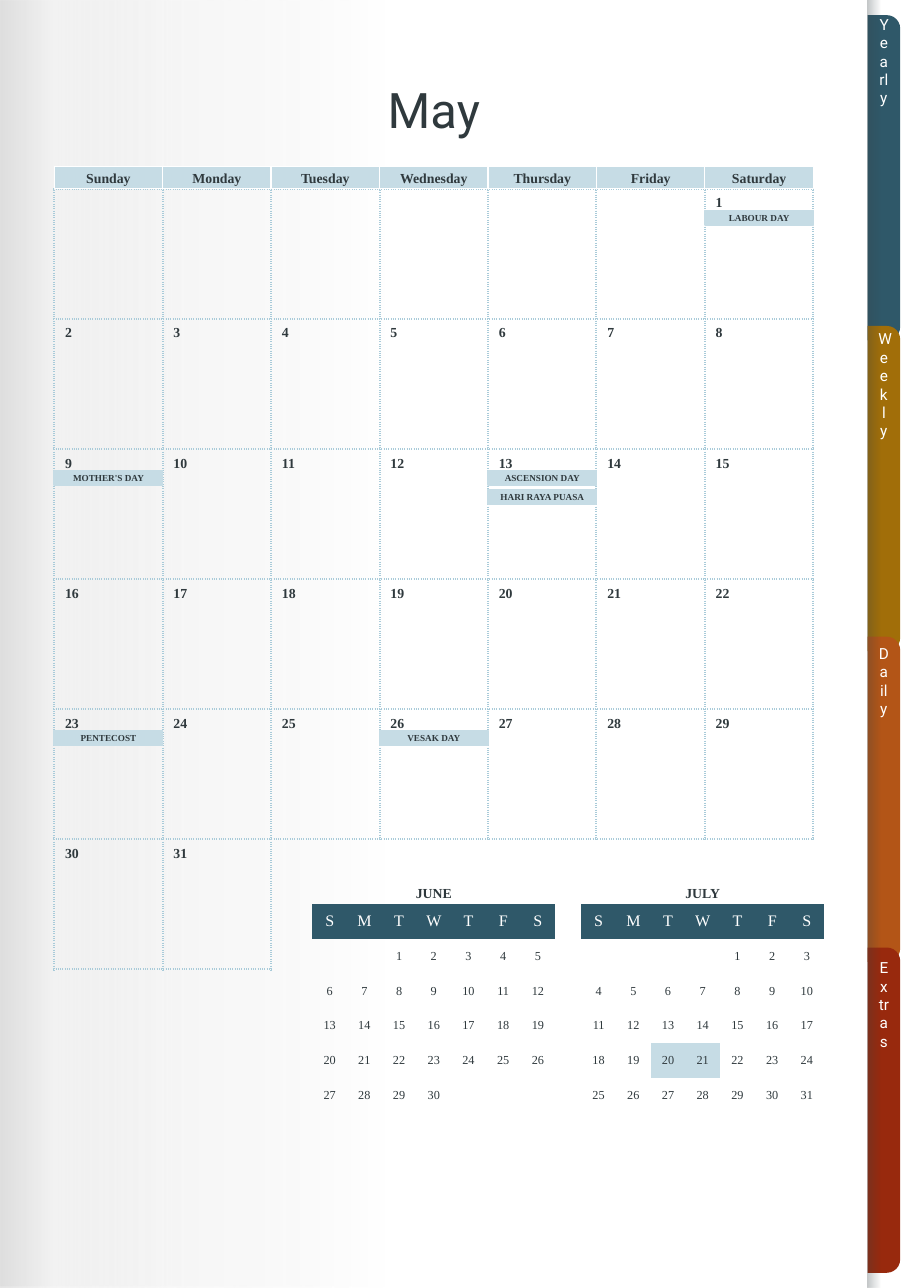
import dataclasses
import itertools
import typing

import pptx
import pptx.dml.color
import pptx.enum.shapes
import pptx.enum.text
import pptx.oxml.ns
import pptx.util
from lxml import etree

Mm = pptx.util.Mm
qn = pptx.oxml.ns.qn
PRESET = pptx.enum.shapes.MSO_SHAPE
ALIGN = pptx.enum.text.PP_ALIGN
ANCHOR = pptx.enum.text.MSO_ANCHOR


@dataclasses.dataclass(frozen=True)
class Theme:
    ink: str = "2F393D"
    white: str = "FFFFFF"
    navy: str = "2F5869"
    pale: str = "C6DCE5"
    dots: str = "A9CBD9"
    serif: str = "Times New Roman"
    sans: str = "Roboto"
    title: float = 32
    initial: float = 10.5
    tab: float = 10
    label: float = 9
    small_date: float = 8
    event: float = 6


@dataclasses.dataclass(frozen=True)
class Box:
    left: float
    top: float
    width: float
    height: float

    def lengths(self) -> list[pptx.util.Length]:
        return [Mm(side) for side in dataclasses.astuple(self)]


@dataclasses.dataclass(frozen=True)
class Grid:
    """Seven weekday columns; lengths in millimetres."""
    left: float
    top: float
    column: float
    row: float
    rows: int
    first_weekday: int
    days: int

    def place(self, day: int) -> tuple[int, int]:
        return divmod(day - 1 + self.first_weekday, 7)

    def cell(self, row: int, column: int) -> Box:
        return Box(self.left + column * self.column, self.top + row * self.row, self.column, self.row)

    def frame(self) -> Box:
        return Box(self.left, self.top, 7 * self.column, self.rows * self.row)


class Event(typing.NamedTuple):
    day: int
    name: str
    slot: int = 0


class Tab(typing.NamedTuple):
    name: str
    color: str


class SmallMonth(typing.NamedTuple):
    name: str
    dates: Grid
    marked: tuple[int, ...] = ()


class Stop(typing.NamedTuple):
    position: int
    color: str
    opacity: int


THEME = Theme()
PAGE = Box(0, 0, 210, 297)
HEADER = 5
WEEKDAYS = ["Sunday", "Monday", "Tuesday", "Wednesday", "Thursday", "Friday", "Saturday"]
MAY = Grid(12.5, 43.5, 25, 30, rows=6, first_weekday=6, days=31)
EVENTS = [Event(26, "VESAK DAY"), Event(23, "PENTECOST"), Event(13, "HARI RAYA PUASA", 1),
          Event(13, "ASCENSION DAY"), Event(9, "MOTHER'S DAY"), Event(1, "LABOUR DAY")]
# The first grid row of a small month holds the weekday initials
SMALL_MONTHS = [SmallMonth("JUNE", Grid(72, 208.5, 8, 8, rows=7, first_weekday=2, days=30)),
                SmallMonth("JULY", Grid(134, 208.5, 8, 8, rows=7, first_weekday=4, days=31), (20, 21))]
TABS = [Tab("Yearly", THEME.navy), Tab("Weekly", "A16E09"), Tab("Daily", "B35517"), Tab("Extras", "98290D")]
TAB_STRIP = Box(200, 3.5, 7.5, 290)
TAB_LENGTH = 75
PAGE_SHADE = [Stop(0, "D9D9D9", 88), Stop(6, "D9D9D9", 33), Stop(19, "F2F2F2", 65), Stop(43, THEME.white, 100)]
EDGE_SHADE = [Stop(0, "384448", 30), Stop(31, "384448", 0)]


def rgb(color: str) -> pptx.dml.color.RGBColor:
    return pptx.dml.color.RGBColor.from_string(color)


def write(frame, text: str, size: float, color: str = THEME.ink, font: str = THEME.serif,
          bold: bool = False, align=ALIGN.CENTER) -> None:
    frame.text = text
    paragraph = frame.paragraphs[0]
    paragraph.alignment = align
    for run in paragraph.runs:
        run.font.size, run.font.name, run.font.bold = pptx.util.Pt(size), font, bold
        run.font.color.rgb = rgb(color)


def fit(frame, top: float = 0, bottom: float = 0) -> None:
    frame.word_wrap = True
    frame.vertical_anchor = ANCHOR.MIDDLE
    frame.margin_top, frame.margin_bottom = Mm(top), Mm(bottom)


def add_block(slide, box: Box, fill: str | None = None, line: str | None = None,
              width: float = 1, preset=PRESET.RECTANGLE):
    block = slide.shapes.add_shape(preset, *box.lengths())
    block.shadow.inherit = False
    if fill:
        block.fill.solid()
        block.fill.fore_color.rgb = rgb(fill)
    if line:
        block.line.color.rgb = rgb(line)
        block.line.width = pptx.util.Pt(width)
    else:
        block.line.fill.background()
    return block


def add_shade(slide, box: Box, stops: list[Stop]) -> None:
    shade = add_block(slide, box)
    shade.fill.gradient()
    shade.fill.gradient_angle = 0
    stop_list = shade.element.spPr.find(".//" + qn("a:gsLst"))
    stop_list[:] = []
    for stop in stops:
        entry = etree.SubElement(stop_list, qn("a:gs"), pos=str(stop.position * 1000))
        color = etree.SubElement(entry, qn("a:srgbClr"), val=stop.color)
        etree.SubElement(color, qn("a:alpha"), val=str(stop.opacity * 1000))


def add_label(slide, box: Box):
    frame = slide.shapes.add_textbox(*box.lengths()).text_frame
    frame.word_wrap = True
    return frame


def add_grid_table(slide, grid: Grid):
    graphic = slide.shapes.add_table(grid.rows, 7, *grid.frame().lengths())
    table = graphic.table
    table.first_row = table.horz_banding = False
    style = graphic.element.find(".//" + qn("a:tableStyleId"))
    style.text = "{2D5ABB26-0587-4C30-8999-92F81FD0307C}"
    for column in table.columns:
        column.width = Mm(grid.column)
    for row in table.rows:
        row.height = Mm(grid.row)
    return table


def add_dotted_sides(cell, sides: str) -> None:
    properties = cell._tc.get_or_add_tcPr()
    for side in sides:
        line = etree.SubElement(properties, qn("a:ln" + side), w=str(pptx.util.Pt(1.5)))
        fill = etree.SubElement(line, qn("a:solidFill"))
        etree.SubElement(fill, qn("a:srgbClr"), val=THEME.dots)
        etree.SubElement(line, qn("a:prstDash"), val="dot")


def add_small_month(slide, month: SmallMonth) -> None:
    grid = month.dates
    heading = add_label(slide, Box(grid.left, grid.top - HEADER, 7 * grid.column, HEADER))
    fit(heading)
    write(heading, month.name, THEME.label, bold=True)
    table = add_grid_table(slide, grid)
    days = {grid.place(day): day for day in range(1, grid.days + 1)}
    for row, column in itertools.product(range(grid.rows), range(7)):
        cell = table.cell(row, column)
        cell.margin_left = cell.margin_right = cell.margin_top = cell.margin_bottom = 0
        cell.vertical_anchor = ANCHOR.MIDDLE
        day = days.get((row - 1, column))
        if row == 0:
            write(cell.text_frame, WEEKDAYS[column][0], THEME.initial, THEME.white)
        elif day:
            write(cell.text_frame, str(day), THEME.small_date)
        if row == 0 or day in month.marked:
            cell.fill.solid()
            cell.fill.fore_color.rgb = rgb(THEME.navy if row == 0 else THEME.pale)
        else:
            cell.fill.background()


def main() -> None:
    deck = pptx.Presentation()
    deck.slide_width, deck.slide_height = Mm(PAGE.width), Mm(PAGE.height)
    slide = deck.slides.add_slide(deck.slide_layouts[5])

    # Page shading and coloured side tabs
    add_shade(slide, PAGE, PAGE_SHADE)
    tab_step = (TAB_STRIP.height - TAB_LENGTH) / (len(TABS) - 1)
    for index, tab in enumerate(TABS):
        center_x = TAB_STRIP.left + TAB_STRIP.width / 2
        center_y = TAB_STRIP.top + index * tab_step + TAB_LENGTH / 2
        flat = Box(center_x - TAB_LENGTH / 2, center_y - TAB_STRIP.width / 2, TAB_LENGTH, TAB_STRIP.width)
        divider = add_block(slide, flat, tab.color, preset=PRESET.ROUND_2_SAME_RECTANGLE)
        divider.adjustments[0], divider.adjustments[1] = 0.41, 0
        divider.rotation = 90
    add_shade(slide, Box(TAB_STRIP.left, 0, PAGE.width - TAB_STRIP.left, PAGE.height), EDGE_SHADE)

    # Dotted month grid, open after the last day
    month_table = add_grid_table(slide, MAY)
    last_row, last_column = MAY.place(MAY.days)
    month_table.cell(last_row, last_column + 1).merge(month_table.cell(last_row, 6))
    for row, column in itertools.product(range(MAY.rows), range(7)):
        cell = month_table.cell(row, column)
        if not cell.is_spanned:
            add_dotted_sides(cell, "LT" if cell.is_merge_origin else "LRTB")
        cell.fill.background()

    # Holidays
    for event in EVENTS:
        day_box = MAY.cell(*MAY.place(event.day))
        bar = Box(day_box.left, day_box.top + 5 + event.slot * 4.4, MAY.column, 3.4)
        holiday = add_block(slide, bar, THEME.pale, THEME.pale).text_frame
        fit(holiday, 0.25, 0.25)
        write(holiday, event.name, THEME.event, bold=True)

    # Month title, raised above the page shading
    title = slide.shapes.title
    slide.shapes.element.append(title.element)
    title.left, title.top, title.width, title.height = Box(10, 13.5, 180, 20).lengths()
    title.text_frame.auto_size = pptx.enum.text.MSO_AUTO_SIZE.NONE
    fit(title.text_frame, top=5)
    write(title.text_frame, "May", THEME.title, font=THEME.sans)
    title.text_frame.paragraphs[0].line_spacing = 0.9

    # Weekday headers and dates
    for column, name in enumerate(WEEKDAYS):
        header_box = Box(MAY.cell(0, column).left, MAY.top - HEADER, MAY.column, HEADER)
        weekday = add_block(slide, header_box, THEME.pale, THEME.white, 0.75).text_frame
        fit(weekday)
        write(weekday, name, THEME.label, bold=True)
    for day in range(1, MAY.days + 1):
        date = add_label(slide, MAY.cell(*MAY.place(day)))
        write(date, str(day), THEME.label, bold=True, align=ALIGN.LEFT)

    # Following months
    for month in SMALL_MONTHS:
        add_small_month(slide, month)

    # Side tab names
    name_step = TAB_STRIP.height / len(TABS)
    for index, tab in enumerate(TABS):
        name_box = Box(TAB_STRIP.left, TAB_STRIP.top + index * name_step, TAB_STRIP.width, name_step)
        tab_name = add_label(slide, name_box)
        fit(tab_name)
        tab_name._txBody.bodyPr.set("vert", "mongolianVert")
        write(tab_name, tab.name, THEME.tab, THEME.white, THEME.sans)

    deck.save("out.pptx")


if __name__ == "__main__":
    main()
